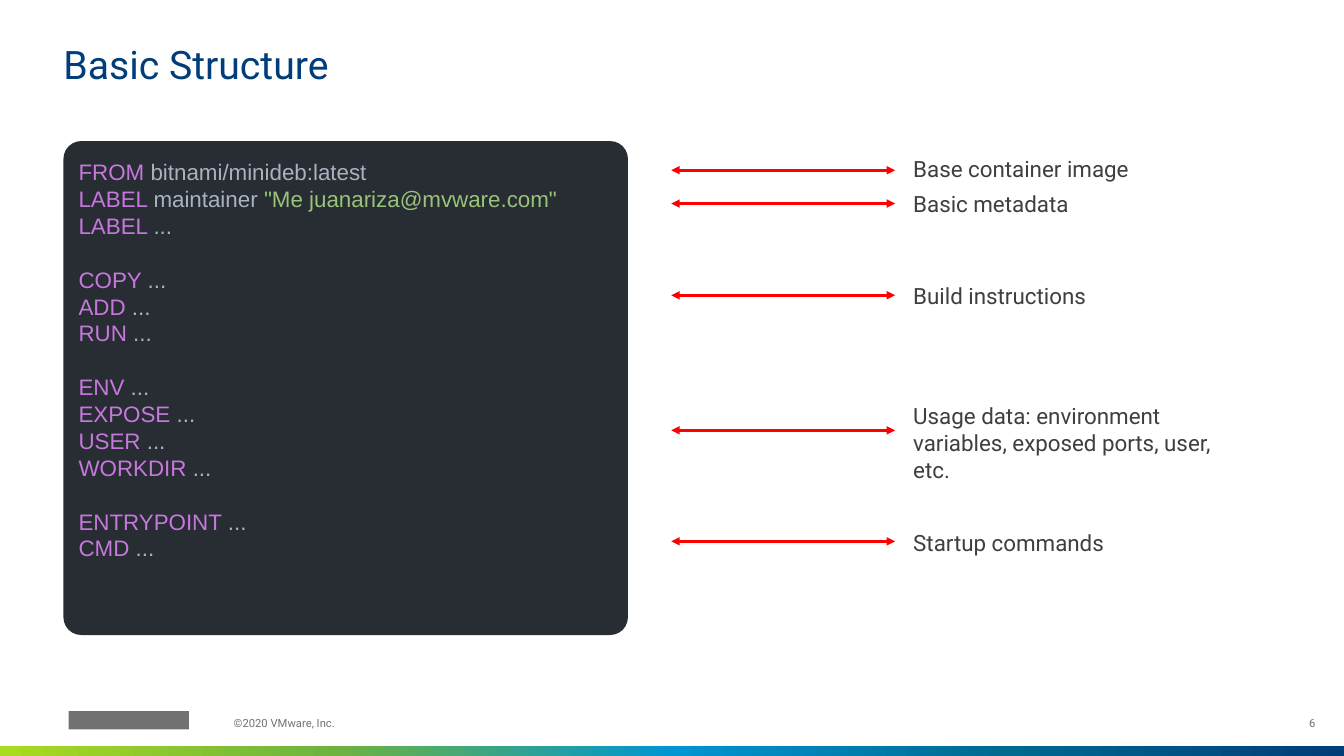
from lxml import etree
from pptx import Presentation
from pptx import util as u
from pptx.dml import color
from pptx.enum import shapes, text
from pptx.oxml import ns

WIDTH, HEIGHT = 960, 540
LEFT = 45.36
PURPLE, GREY, GREEN = "C678DD", "ABB2BF", "98C379"
FOOTER_GREY = "717074"
LINE_HEIGHT = 19.2

# Each group of code lines is set apart by one line of space
CODE_GROUPS = [
    [[("FROM ", PURPLE), ("bitnami/minideb:latest", GREY)],
     [("LABEL ", PURPLE), ("maintainer ", GREY),
      ('"Me juanariza@mvware.com"', GREEN)],
     [("LABEL ", PURPLE), ("...", GREY)]],
    *[[[(keyword + " ", PURPLE), ("...", GREY)] for keyword in group]
      for group in (["COPY", "ADD", "RUN"],
                    ["ENV", "EXPOSE", "USER", "WORKDIR"],
                    ["ENTRYPOINT", "CMD"])],
]

# Wording, arrow height, label top, label width, number of lines
ANNOTATIONS = [
    ("Base container image", 121.6, 110.9, 165, 1),
    ("Basic metadata", 145.4, 136.1, 165, 1),
    ("Build instructions", 210.9, 201.6, 165, 1),
    ("Usage data: environment variables, exposed ports, user, etc.",
     307.4, 287.3, 229, 3),
    ("Startup commands", 386.7, 378, 165, 1),
]


def rgb(value):
    return color.RGBColor.from_string(value)


def style_font(font, size, hex_color, name="Roboto"):
    font.size = u.Pt(size)
    font.name = name
    font.color.rgb = rgb(hex_color)


def clear_margins(frame):
    frame.margin_left = frame.margin_right = 0
    frame.margin_top = frame.margin_bottom = 0


def add_label(slide, box, wording, size, hex_color):
    label = slide.shapes.add_textbox(*map(u.Pt, box))
    frame = label.text_frame
    frame.word_wrap = True
    clear_margins(frame)
    frame.text = wording
    style_font(frame.paragraphs[0].runs[0].font, size, hex_color)
    return frame


def add_panel(slide, kind, box, hex_color):
    panel = slide.shapes.add_shape(kind, *map(u.Pt, box))
    panel.shadow.inherit = False
    panel.line.fill.background()
    panel.fill.solid()
    panel.fill.fore_color.rgb = rgb(hex_color)
    return panel


def add_footer(slide, left, top, width, height):
    # Colour band along the bottom edge
    band = add_panel(slide, shapes.MSO_SHAPE.RECTANGLE,
                     (left, top + height - 7.2, width, 7.2), "0095D3")
    band.fill.gradient()
    band.fill.gradient_angle = 0
    stops = band.fill._fill._gradFill.find(ns.qn("a:gsLst"))
    for stop in list(stops):
        stops.remove(stop)
    colors = ["AADB1E", "6DB33F", "0095D3", "006990", "003D79"]
    for index, value in enumerate(colors):
        stop = etree.SubElement(stops, ns.qn("a:gs"), pos=str(index * 25000))
        etree.SubElement(stop, ns.qn("a:srgbClr"), val=value)

    # Plain block in the brand position
    add_panel(slide, shapes.MSO_SHAPE.RECTANGLE,
              (left + 49, top + 5, 86, 13), "717073")

    # Copyright line and page number
    copyright_line = add_label(slide, (left + 167, top + 9.6, 155, 11.5),
                               "©2020 VMware, Inc.", 8, FOOTER_GREY)
    page_number = add_label(slide, (left + 905, top, 34.6, 28.8),
                            "6", 8, FOOTER_GREY)
    page_number.vertical_anchor = text.MSO_ANCHOR.MIDDLE
    page_number.paragraphs[0].alignment = text.PP_ALIGN.RIGHT
    for frame in (copyright_line, page_number):
        frame.paragraphs[0].line_spacing = 0.9


def set_title(slide, left, top, width, height):
    title = slide.shapes.title
    title.left, title.top = u.Pt(left), u.Pt(top)
    title.width, title.height = u.Pt(width), u.Pt(height)
    frame = title.text_frame
    clear_margins(frame)
    frame.word_wrap = False
    frame.auto_size = text.MSO_AUTO_SIZE.NONE
    frame.vertical_anchor = text.MSO_ANCHOR.BOTTOM
    frame.text = "Basic Structure"
    heading = frame.paragraphs[0]
    heading.alignment = text.PP_ALIGN.LEFT
    heading.line_spacing = 0.9
    style_font(heading.runs[0].font, 28, "003D79")


def add_code_panel(slide, left, top, width, height):
    panel = add_panel(slide, shapes.MSO_SHAPE.ROUNDED_RECTANGLE,
                      (left, top, width, height), "282C33")
    panel.adjustments[0] = 0.036
    frame = panel.text_frame
    frame.word_wrap = True
    frame.vertical_anchor = text.MSO_ANCHOR.TOP
    frame.margin_left = frame.margin_right = u.Pt(7.2)
    frame.margin_top = frame.margin_bottom = u.Pt(8.64)
    code_line = frame.paragraphs[0]
    for group_index, group in enumerate(CODE_GROUPS):
        for line_index, parts in enumerate(group):
            if group_index or line_index:
                code_line = frame.add_paragraph()
            code_line.alignment = text.PP_ALIGN.LEFT
            code_line.line_spacing = u.Pt(LINE_HEIGHT)
            if group_index and not line_index:
                code_line.space_before = u.Pt(LINE_HEIGHT)
            for wording, hex_color in parts:
                run = code_line.add_run()
                run.text = wording
                style_font(run.font, 16, hex_color, "Arial")


def add_arrow(slide, start, end, height):
    arrow = slide.shapes.add_connector(
        shapes.MSO_CONNECTOR.STRAIGHT,
        u.Pt(start), u.Pt(height), u.Pt(end), u.Pt(height))
    arrow.line.color.rgb = rgb("FF0000")
    arrow.line.width = u.Pt(2)
    outline = arrow.line._get_or_add_ln()
    for end_tag in ("a:headEnd", "a:tailEnd"):
        etree.SubElement(outline, ns.qn(end_tag), type="triangle")
    etree.SubElement(arrow._element.spPr, ns.qn("a:effectLst"))


def add_annotations(slide, left, arrow_width, label_gap):
    label_left = left + arrow_width + label_gap
    for wording, arrow_y, label_top, label_width, lines in ANNOTATIONS:
        add_arrow(slide, left, left + arrow_width, arrow_y)
        frame = add_label(slide, (label_left, label_top, label_width,
                                  lines * 19.4), wording, 16, "3F3F3F")
        frame.auto_size = text.MSO_AUTO_SIZE.SHAPE_TO_FIT_TEXT
        frame.paragraphs[0].space_after = u.Pt(6)


def main():
    deck = Presentation()
    deck.slide_width, deck.slide_height = u.Pt(WIDTH), u.Pt(HEIGHT)
    slide = deck.slides.add_slide(deck.slide_layouts.get_by_name("Title Only"))
    add_footer(slide, 0, 503, WIDTH, HEIGHT - 503)
    set_title(slide, LEFT, 32.4, 866, 30.2)
    add_code_panel(slide, LEFT, 100.8, 403.2, 352.8)
    add_annotations(slide, 479.5, 159.9, 12.9)
    deck.save("out.pptx")


if __name__ == "__main__":
    main()
